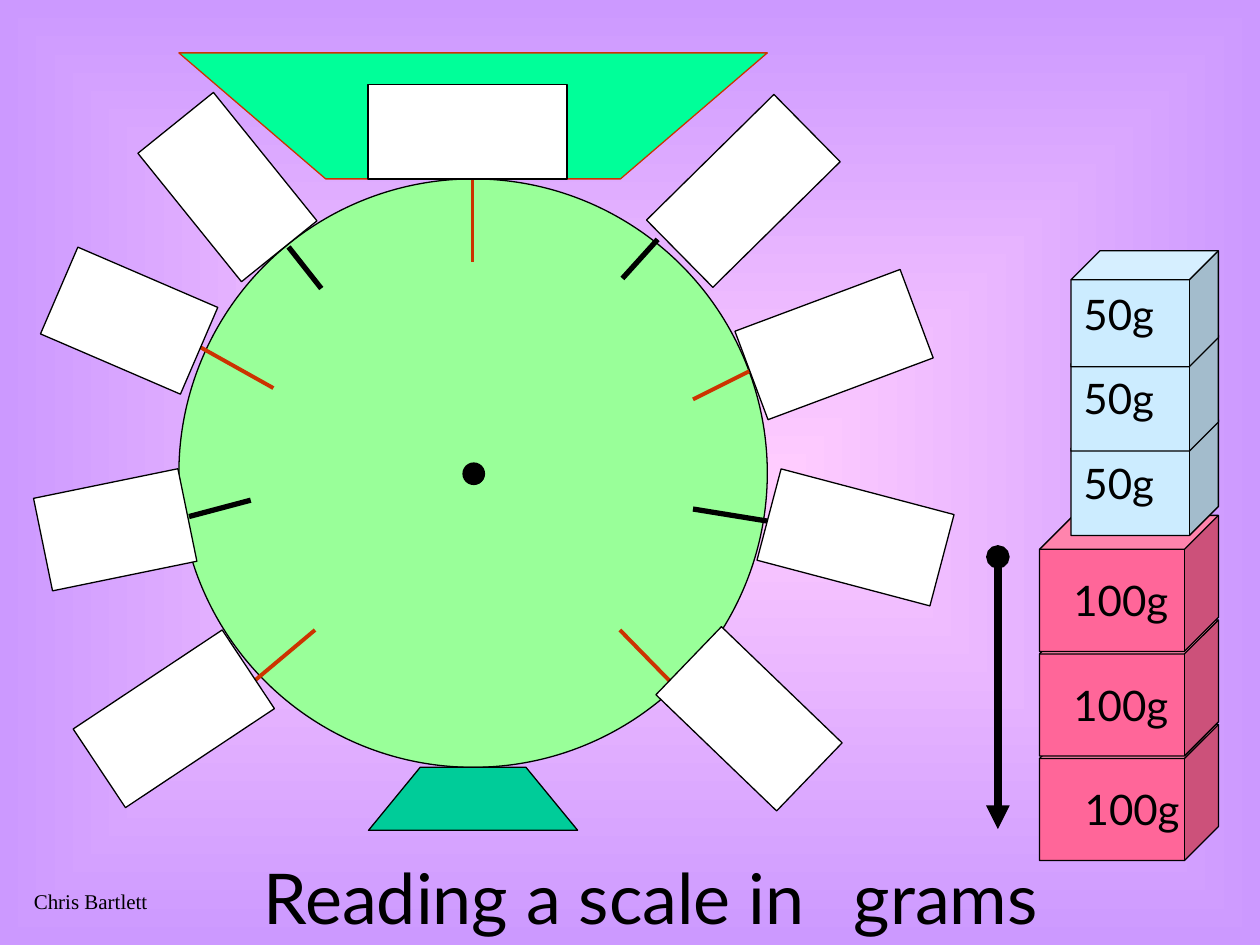
from lxml import etree
from pptx import Presentation
from pptx.dml.color import RGBColor
from pptx.enum.shapes import MSO_CONNECTOR, MSO_SHAPE
from pptx.enum.text import MSO_AUTO_SIZE, PP_ALIGN
from pptx.oxml.ns import qn
from pptx.util import Inches, Pt

RECT, OVAL, CUBE = MSO_SHAPE.RECTANGLE, MSO_SHAPE.OVAL, MSO_SHAPE.CUBE
STRAIGHT = MSO_CONNECTOR.STRAIGHT
FIT = MSO_AUTO_SIZE.SHAPE_TO_FIT_TEXT
LEFT, CENTER = PP_ALIGN.LEFT, PP_ALIGN.CENTER

BLACK = RGBColor(0x00, 0x00, 0x00)
WHITE = RGBColor(0xFF, 0xFF, 0xFF)
RED = RGBColor(0xCC, 0x33, 0x00)
MINT = RGBColor(0x00, 0xFF, 0x99)
LIME = RGBColor(0x99, 0xFF, 0x99)
TEAL = RGBColor(0x00, 0xCC, 0x99)
ROSE = RGBColor(0xFF, 0x66, 0x99)
SKY = RGBColor(0xCC, 0xEC, 0xFF)
PINK = RGBColor(0xFF, 0xCC, 0xFF)
LILAC = RGBColor(0xCC, 0x99, 0xFF)

RED_TICKS = [
    (2.5, 5, 2, 5.42),
    (1.58, 2.75, 2.17, 3.08),
    (3.75, 1.42, 3.75, 2.08),
    (6, 2.92, 5.5, 3.17),
    (4.92, 5, 5.33, 5.42),
]
BLACK_TICKS = [
    (1.5, 4.1, 1.99, 3.97),
    (2.29, 1.96, 2.55, 2.29),
    (4.94, 2.21, 5.22, 1.9),
    (5.5, 4.04, 6.18, 4.15),
]
PLATES = [
    (5.28, 5.33, 1.33, 0.75, 43.9),
    (6.08, 3.89, 1.42, 0.75, 14.8),
    (5.92, 2.36, 1.4, 0.75, 339.5),
    (5.19, 1.14, 1.42, 0.75, 315.4),
    (2.92, 0.67, 1.58, 0.75, 0),
    (1.15, 1.1, 1.31, 0.77, 51.1),
    (0.42, 2.17, 1.21, 0.75, 23.3),
    (0.33, 3.83, 1.17, 0.75, 348.4),
    (0.67, 5.33, 1.42, 0.75, 326.4),
]


def paint(shape, fill, edge=BLACK):
    """Give a shape a flat fill and a thin outline."""
    shape.shadow.inherit = False
    shape.fill.solid()
    shape.fill.fore_color.rgb = fill
    shape.line.color.rgb = edge
    shape.line.width = Pt(0.75)
    return shape


def add_part(shapes, kind, box, fill):
    """Add a painted preset shape."""
    return paint(shapes.add_shape(kind, *map(Inches, box)), fill)


def add_text(shapes, box, text, size=24, font="Lato", align=LEFT, gap=None):
    """Add a line of text; gap widens the space between its two parts."""
    frame = shapes.add_textbox(*map(Inches, box)).text_frame
    frame.word_wrap = True
    frame.auto_size = FIT
    line = frame.paragraphs[0]
    line.alignment = align
    for part in [text] if isinstance(text, str) else text:
        run = line.add_run()
        run.text = part
        run.font.size = Pt(size)
        run.font.name = font
        run.font.color.rgb = BLACK
        if gap and part == " ":
            run.font._element.set("spc", str(gap * 100))


def add_line(shapes, ends, color, width, head=None, tail=None):
    """Add a straight line with optional end marks."""
    line = shapes.add_connector(STRAIGHT, *map(Inches, ends))
    line.line.color.rgb = color
    line.line.width = Pt(width)
    stroke = line.line._get_or_add_ln()
    for tag, mark in (("a:headEnd", head), ("a:tailEnd", tail)):
        if mark:
            etree.SubElement(stroke, qn(tag), type=mark)
    etree.SubElement(line.element.spPr, qn("a:effectLst"))


def add_form(shapes, points, fill, edge=BLACK):
    """Add a closed outline through the points."""
    first, *rest = [(Inches(x), Inches(y)) for x, y in points]
    form = shapes.build_freeform(*first, scale=1.0)
    form.add_line_segments(rest, close=True)
    paint(form.convert_to_shape(), fill, edge)


def add_back(slide):
    """Fill the background from a pink centre to lilac edges."""
    fill = slide.background.fill
    fill.gradient()
    for stop, color in zip(fill.gradient_stops, (PINK, LILAC)):
        stop.color.rgb = color
    grad = slide.element.find(".//" + qn("a:gradFill"))
    grad.remove(grad.find(qn("a:lin")))
    route = etree.SubElement(grad, qn("a:path"), path="rect")
    sides = dict.fromkeys("ltrb", "50000")
    etree.SubElement(route, qn("a:fillToRect"), **sides)


def add_scale(slide, x, y, size):
    """Draw the pan, dial, foot and hub around a dial box."""
    shapes = slide.shapes.add_group_shape().shapes
    mid, low = x + size / 2, y + size
    pan = [(x, y - 1), (x + size, y - 1), (mid + 1.17, y), (mid - 1.17, y)]
    add_form(shapes, pan, MINT, RED)
    add_part(shapes, OVAL, (x, y, size, size), LIME)
    foot = [
        (mid - 0.83, low + 0.5),
        (mid + 0.83, low + 0.5),
        (mid + 0.42, low),
        (mid - 0.42, low),
    ]
    add_form(shapes, foot, TEAL)
    hub = (mid - 0.08, y + size / 2 - 0.08, 0.17, 0.17)
    add_part(slide.shapes, OVAL, hub, BLACK)


def add_marks(shapes):
    """Draw the ticks and the blank plates around the dial."""
    for ends in RED_TICKS:
        add_line(shapes, ends, RED, 2.25)
    for ends in BLACK_TICKS:
        add_line(shapes, ends, BLACK, 3)
    for *box, turn in PLATES:
        add_part(shapes, RECT, box, WHITE).rotation = turn


def add_pile(slide, box, step, label, fill, inset, drop, nudge=0):
    """Stack three labelled cubes upward; nudge shifts the lowest label."""
    x, y, wide, high = box
    for i in range(3):
        top = y - i * step
        shapes = slide.shapes.add_group_shape().shapes
        cube = add_part(shapes, CUBE, (x, top, wide, high), fill)
        cube.adjustments[0] = 0.25
        left = x + inset + (0 if i else nudge)
        add_text(shapes, (left, top + drop, 1.08, 0.5), label)


def main():
    """Build the slide and save it."""
    deck = Presentation()
    deck.slide_width, deck.slide_height = Inches(10), Inches(7.5)
    slide = deck.slides.add_slide(deck.slide_layouts[6])
    shapes = slide.shapes
    add_back(slide)
    add_text(shapes, (0.17, 7, 1.17, 0.3), "Chris Bartlett", size=12,
             font="Times New Roman")
    add_scale(slide, 1.42, 1.42, 4.67)
    add_text(shapes, (0.33, 6.73, 9.67, 0.77),
             ["Reading a scale in", " ", "grams"],
             size=40, align=CENTER, gap=18)
    add_marks(shapes)
    add_line(shapes, (7.92, 4.42, 7.92, 6.58), BLACK, 4.5, "oval", "triangle")
    add_pile(slide, (8.25, 5.75, 1.42, 1.08), 0.83, "100g", ROSE,
             0.17, 0.42, 0.09)
    add_pile(slide, (8.5, 3.33, 1.17, 0.92), 0.67, "50g", SKY, 0, 0.25)
    deck.save("out.pptx")


if __name__ == "__main__":
    main()
